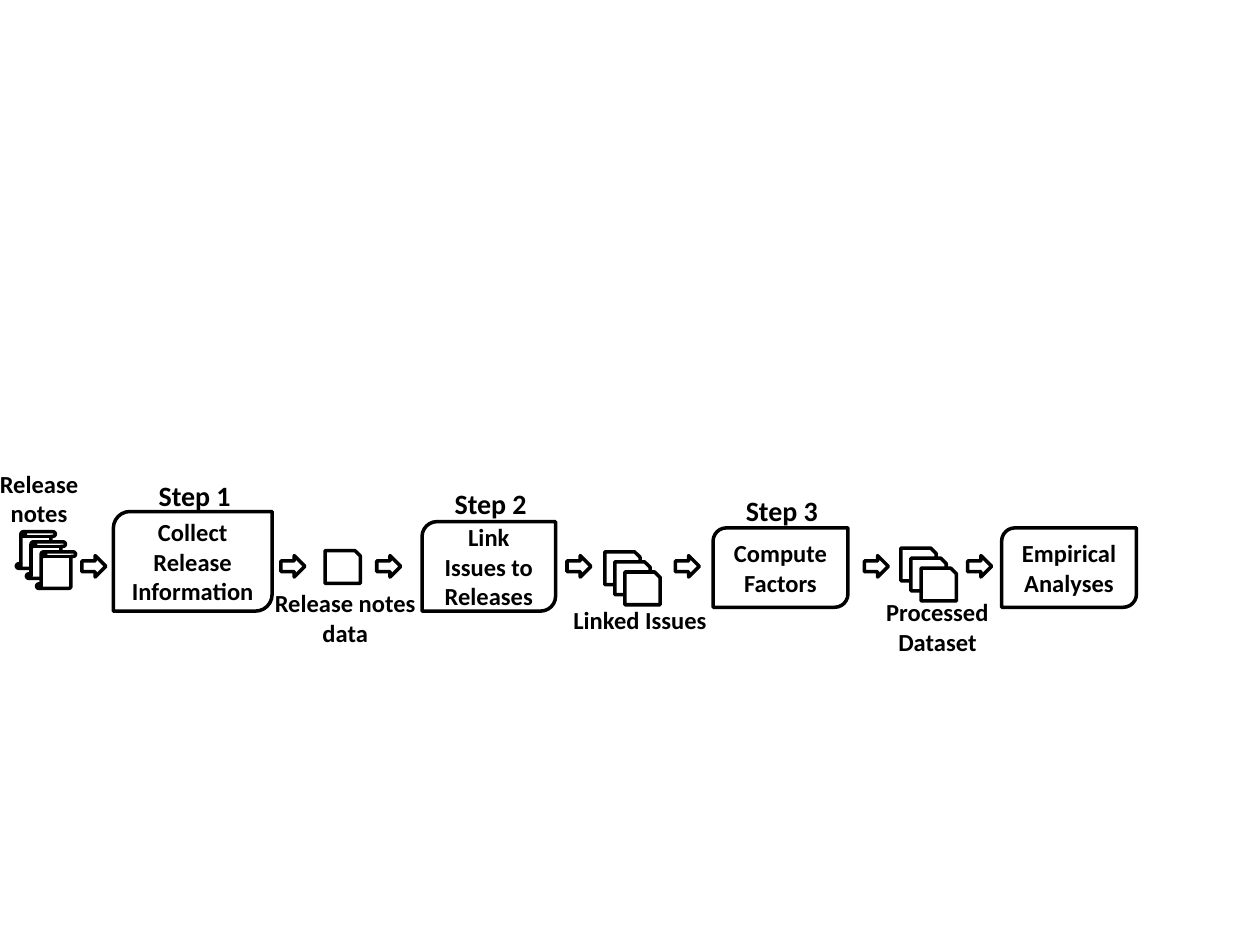
import pptx
import pptx.util
import pptx.dml.color
import pptx.enum.shapes
import pptx.enum.text

Inches = pptx.util.Inches
SHAPES = pptx.enum.shapes.MSO_SHAPE
SHEET_OFFSET = 0.08
ARROW_LEFTS = (0.65, 2.23, 2.99, 4.5, 5.36, 6.86, 7.68)
STEPS = (
    ("Collect Release Information", 0.9, 4.06, 1.26, 0.79),
    ("Link Issues to Releases", 3.35, 4.14, 1.06, 0.71),
    ("Compute\nFactors", 5.66, 4.19, 1.07, 0.63),
    ("Empirical\nAnalyses", 7.95, 4.19, 1.07, 0.63),
)
STEP_HEADINGS = (("Step 1", 1.13, 3.75), ("Step 2", 3.48, 3.81), ("Step 3", 5.79, 3.87))
DATA_LABELS = (
    ("Release notes", -0.24, 3.67, 1.1, 0.57),
    ("Release notes\ndata", 2.07, 4.62, 1.34, 0.57),
    ("Linked Issues", 4.41, 4.75, 1.34, 0.34),
    ("Processed\nDataset", 6.77, 4.69, 1.34, 0.57),
)


def color(value):
    """Return the colour for a hex string."""
    return pptx.dml.color.RGBColor.from_string(value)


def write_text(shape, text, size=14, font="Calibri", bold=True, fill="000000",
               anchor=pptx.enum.text.MSO_ANCHOR.TOP):
    """Write centred text into a shape, one paragraph per line."""
    frame = shape.text_frame
    frame.word_wrap = True
    frame.vertical_anchor = anchor
    frame.text = text
    for paragraph in frame.paragraphs:
        paragraph.alignment = pptx.enum.text.PP_ALIGN.CENTER
        for run in paragraph.runs:
            run.font.size = pptx.util.Pt(size)
            run.font.name = font
            run.font.bold = bold
            run.font.color.rgb = color(fill)


def add_outlined(slide, kind, left, top, width, height):
    """Add a white preset shape with a black outline."""
    shape = slide.shapes.add_shape(
        kind, Inches(left), Inches(top), Inches(width), Inches(height))
    shape.shadow.inherit = False
    shape.fill.solid()
    shape.fill.fore_color.rgb = color("FFFFFF")
    shape.line.color.rgb = color("000000")
    shape.line.width = pptx.util.Pt(2)
    return shape


def add_stack(slide, kind, left, top, width, height, count=3):
    """Add overlapping sheets that step down to the right."""
    for index in range(count):
        shift = index * SHEET_OFFSET
        add_outlined(slide, kind, left + shift, top + shift, width, height)


def add_step(slide, text, left, top, width, height):
    """Add a process step with its text in the middle."""
    shape = add_outlined(slide, SHAPES.ROUND_2_DIAG_RECTANGLE, left, top, width, height)
    write_text(shape, text, anchor=pptx.enum.text.MSO_ANCHOR.MIDDLE)


def add_label(slide, text, left, top, width, height, **text_format):
    """Add a text box that holds a label."""
    box = slide.shapes.add_textbox(
        Inches(left), Inches(top), Inches(width), Inches(height))
    write_text(box, text, **text_format)
    box.text_frame.auto_size = pptx.enum.text.MSO_AUTO_SIZE.SHAPE_TO_FIT_TEXT


def main():
    """Build the process slide and save it."""
    presentation = pptx.Presentation()
    presentation.slide_width = Inches(10)
    presentation.slide_height = Inches(7.5)
    slide = presentation.slides.add_slide(presentation.slide_layouts[6])

    add_stack(slide, SHAPES.VERTICAL_SCROLL, 0.13, 4.22, 0.31, 0.29)
    for left, top, count in ((2.58, 4.37, 1), (4.8, 4.38, 3), (7.15, 4.35, 3)):
        add_stack(slide, SHAPES.SNIP_1_RECTANGLE, left, top, 0.28, 0.26, count=count)
    for left in ARROW_LEFTS:
        add_outlined(slide, SHAPES.RIGHT_ARROW, left, 4.41, 0.19, 0.17)
    for step in STEPS:
        add_step(slide, *step)
    for text, left, top in STEP_HEADINGS:
        add_label(slide, text, left, top, 0.83, 0.37, size=16)
    for label in DATA_LABELS:
        add_label(slide, *label)

    presentation.save("out.pptx")


if __name__ == "__main__":
    main()
